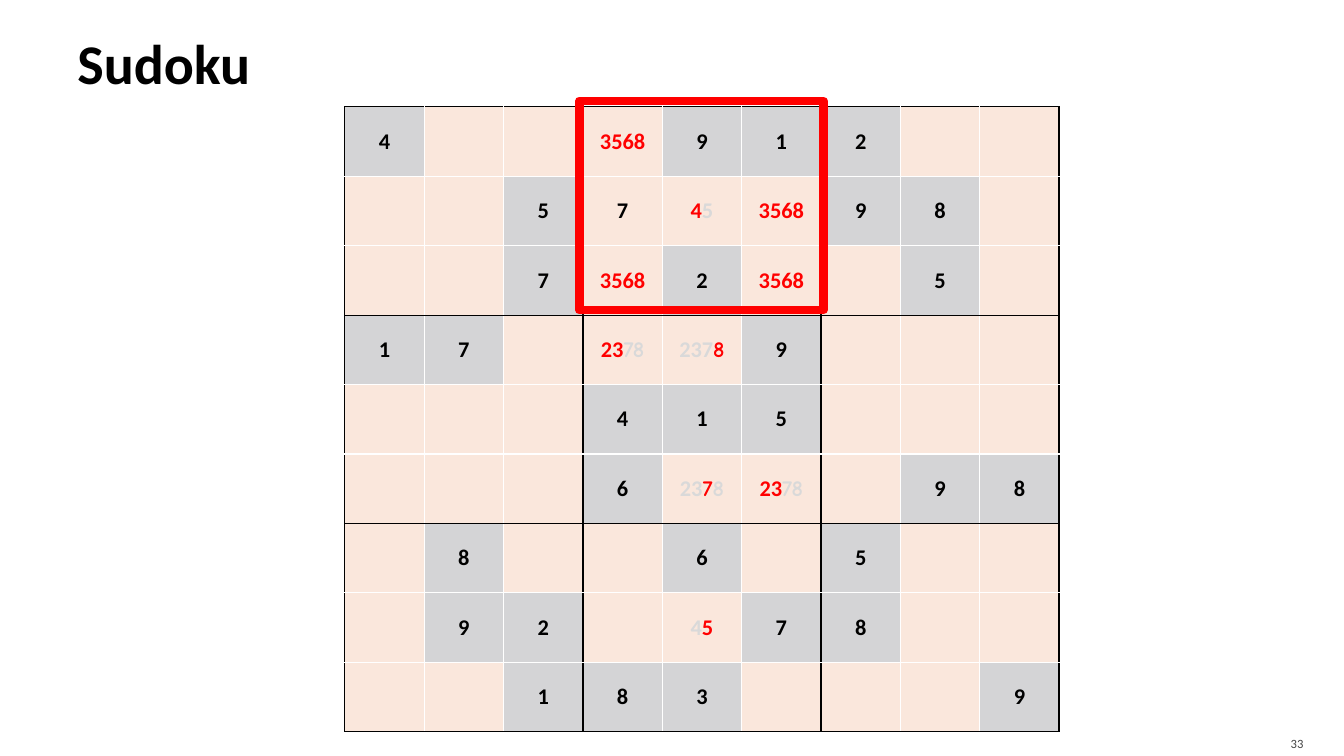
from lxml import etree
from pptx import Presentation
from pptx.dml.color import RGBColor
from pptx.enum.shapes import MSO_SHAPE
from pptx.enum.text import MSO_ANCHOR, PP_ALIGN
from pptx.oxml.ns import qn
from pptx.util import Cm, Pt

RECT = MSO_SHAPE.RECTANGLE
MID = MSO_ANCHOR.MIDDLE
LEFT, MIDST, RIGHT = PP_ALIGN.LEFT, PP_ALIGN.CENTER, PP_ALIGN.RIGHT

THEME = {
    "ink": "000000", "red": "FF0000", "pale": "D9D9D9", "page": "454545",
    "white": "FFFFFF", "given": "D4D4D6", "open": "FAE7DC",
    "font": "Calibri", "hand": "Comic Neue",
    "title": 40, "digit": 16, "small": 9, "edge": 1, "frame": 6,
}

TITLE = "Sudoku"
PAGE = "33"
GIVENS = [
    "4...912..",
    "..5...98.",
    "..7.2..5.",
    "17...9...",
    "...415...",
    "...6...98",
    ".8..6.5..",
    ".92..78..",
    "..183...9",
]
NOTES = {
    (0, 3): [("3568", "red", "font")],
    (1, 3): [("7", "ink", "font")],
    (1, 4): [("4", "red", "font"), ("5", "pale", "font")],
    (1, 5): [("3568", "red", "font")],
    (2, 3): [("3568", "red", "font")],
    (2, 5): [("3568", "red", "font")],
    (3, 3): [("23", "red", "font"), ("78", "pale", "hand")],
    (3, 4): [("237", "pale", "font"), ("8", "red", "hand")],
    (5, 4): [("23", "pale", "font"), ("7", "red", "hand"), ("8", "pale", "hand")],
    (5, 5): [("23", "red", "font"), ("78", "pale", "hand")],
    (7, 4): [("4", "pale", "font"), ("5", "red", "font")],
}
SIZE, BOX = 9, 3
GRID_X, GRID_Y = 8.69, 2.69
CELL_W, CELL_H = 2, 1.75


def color(key):
    return RGBColor.from_string(THEME[key])


def write(para, text, size="digit", ink="ink", face="font", bold=True, align=MIDST):
    para.alignment = align
    run = para.add_run()
    run.text = text
    font = run.font
    font.name, font.size, font.bold = THEME[face], Pt(THEME[size]), bold
    font.color.rgb = color(ink)


def label(slide, area, pads, text, **form):
    frame = slide.shapes.add_textbox(*map(Cm, area)).text_frame
    frame.word_wrap = True
    frame.vertical_anchor = MID
    frame.margin_left, frame.margin_top, frame.margin_right, frame.margin_bottom = map(Cm, pads)
    write(frame.paragraphs[0], text, **form)


def edge(cell, row, col):
    props = cell._tc.get_or_add_tcPr()
    sides = {
        "a:lnL": col % BOX == 0,
        "a:lnR": col % BOX == BOX - 1,
        "a:lnT": row % BOX == 0,
        "a:lnB": row % BOX == BOX - 1,
    }
    for spot, (tag, dark) in enumerate(sides.items()):
        line = etree.Element(qn(tag), w=str(Pt(THEME["edge"])))
        fill = etree.SubElement(line, qn("a:solidFill"))
        etree.SubElement(fill, qn("a:srgbClr"), val=THEME["ink" if dark else "white"])
        props.insert(spot, line)


def board(slide):
    table = slide.shapes.add_table(
        SIZE, SIZE, Cm(GRID_X), Cm(GRID_Y), Cm(SIZE * CELL_W), Cm(SIZE * CELL_H)
    ).table
    table.first_row = table.horz_banding = False
    for row, line in enumerate(GIVENS):
        table.rows[row].height = Cm(CELL_H)
        table.columns[row].width = Cm(CELL_W)
        for col, digit in enumerate(line):
            cell = table.cell(row, col)
            given = digit != "."
            cell.vertical_anchor = MID
            cell.fill.solid()
            cell.fill.fore_color.rgb = color("given" if given else "open")
            edge(cell, row, col)
            parts = [(digit, "ink", "font")] if given else NOTES.get((row, col), [])
            for text, ink, face in parts:
                write(cell.text_frame.paragraphs[0], text, ink=ink, face=face)


def focus(slide):
    frame = slide.shapes.add_shape(RECT, Cm(14.6), Cm(2.54), Cm(6.15), Cm(5.28))
    frame.shadow.inherit = False
    frame.fill.background()
    frame.line.color.rgb = color("red")
    frame.line.width = Pt(THEME["frame"])


def main():
    deck = Presentation()
    deck.slide_width, deck.slide_height = Cm(33.87), Cm(19.05)
    slide = deck.slides.add_slide(deck.slide_layouts[6])
    label(slide, (1.7, 0.2, 30.48, 2.74), (0.25, 0.13, 0.13, 0.13),
          TITLE, size="title", align=LEFT)
    label(slide, (30.38, 18.29, 2.72, 0.76), (0.25, 0.13, 0.25, 0),
          PAGE, size="small", ink="page", bold=False, align=RIGHT)
    board(slide)
    focus(slide)
    deck.save("out.pptx")


if __name__ == "__main__":
    main()
